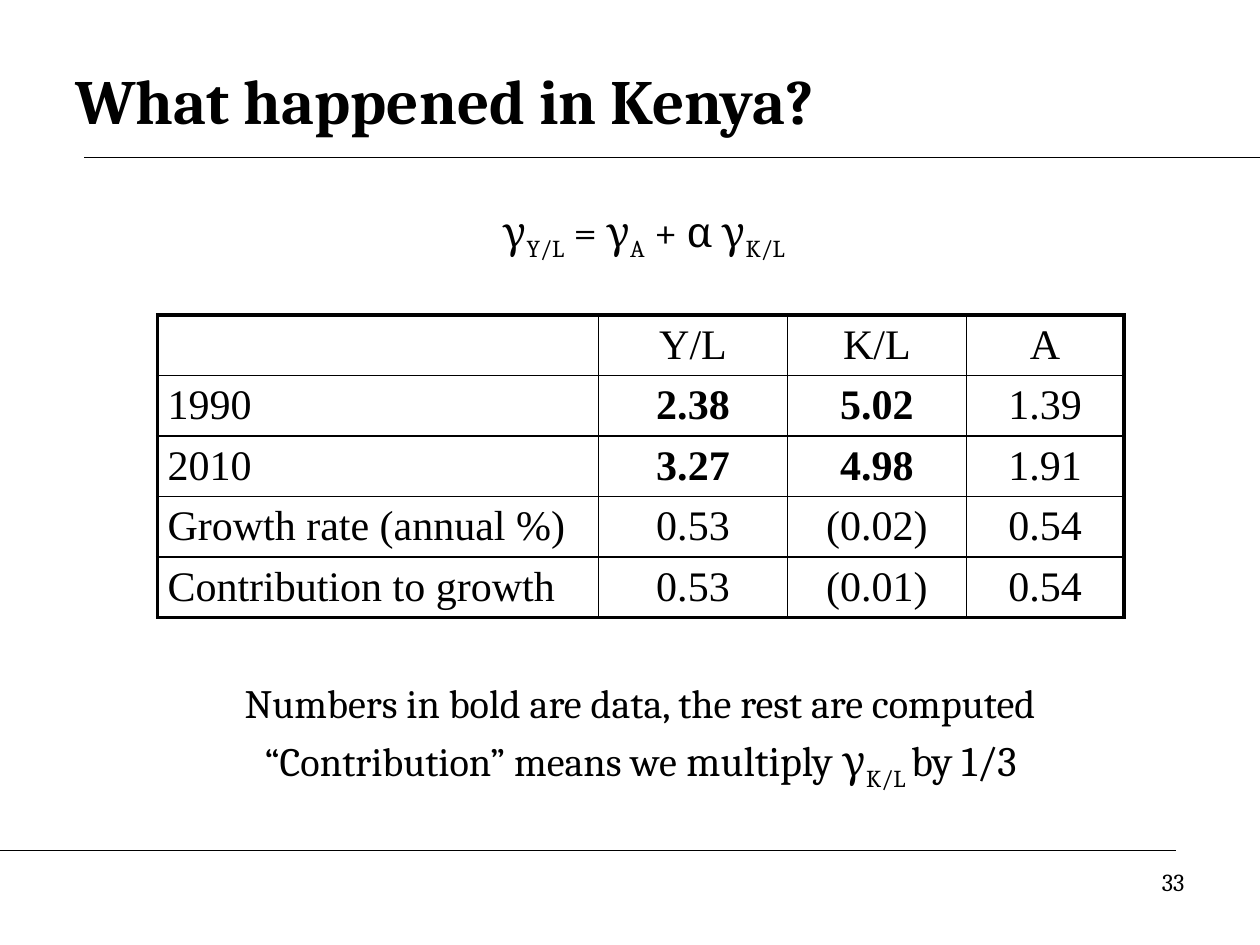
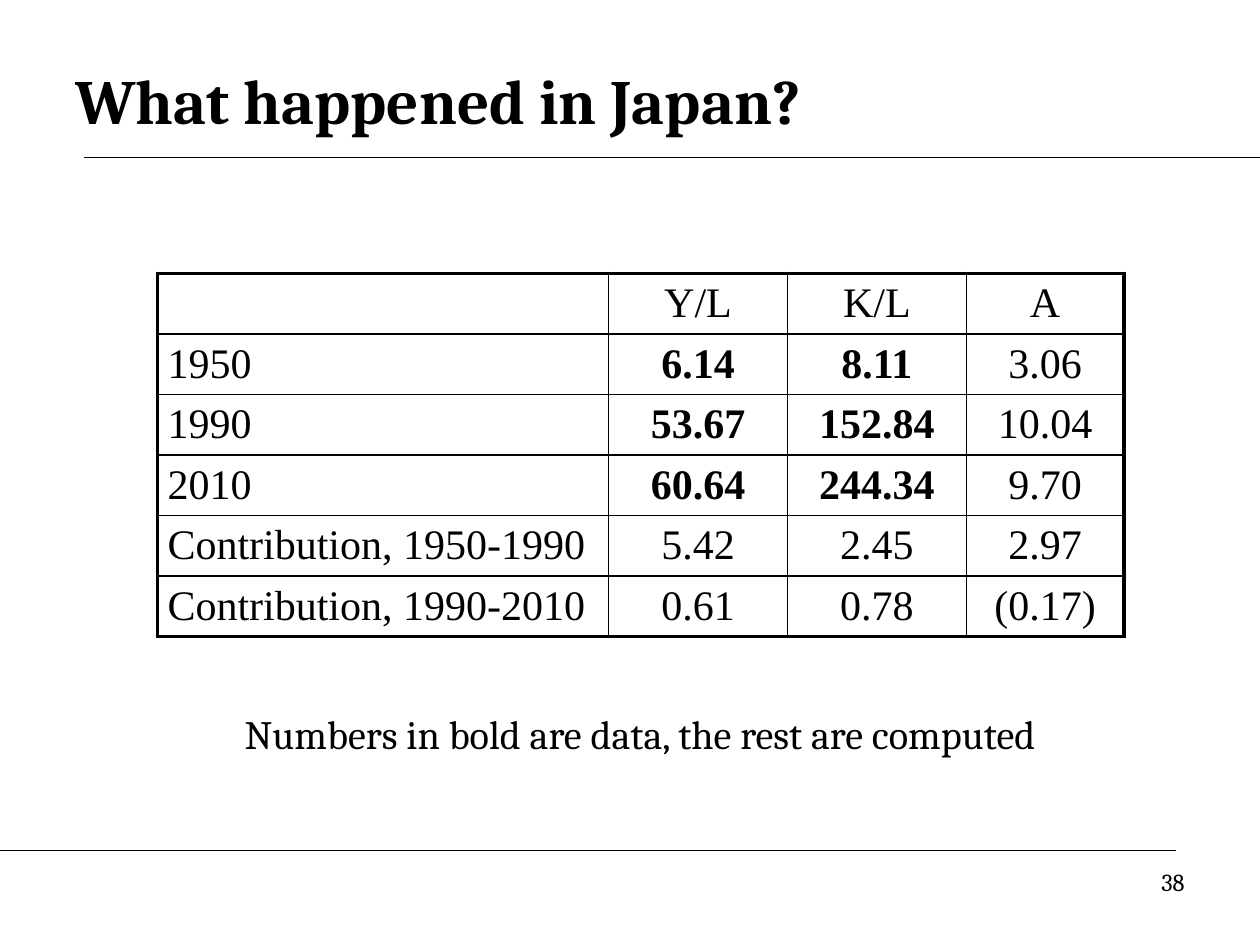
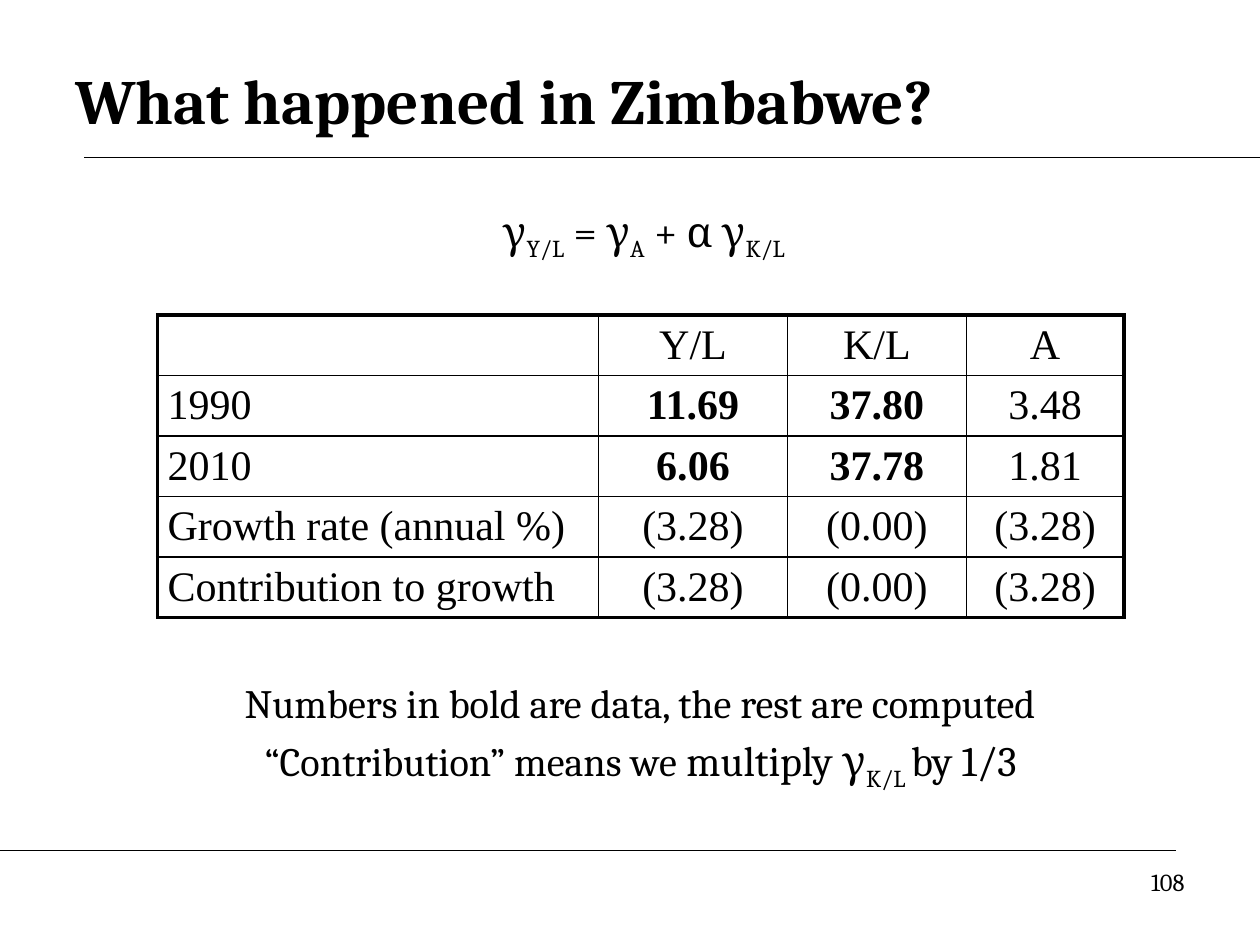
from lxml import etree
from pptx import Presentation
from pptx.dml.color import RGBColor
from pptx.enum.shapes import MSO_CONNECTOR
from pptx.enum.text import MSO_ANCHOR, MSO_AUTO_SIZE, PP_ALIGN
from pptx.oxml.ns import qn
from pptx.util import Inches, Pt

LEFT, CENTER, RIGHT = PP_ALIGN.LEFT, PP_ALIGN.CENTER, PP_ALIGN.RIGHT
MIDDLE = MSO_ANCHOR.MIDDLE
NO_FIT = MSO_AUTO_SIZE.NONE
STRAIGHT = MSO_CONNECTOR.STRAIGHT
TITLE_ONLY = 5
BLACK = "000000"
SERIF, TABLE_FONT = "Cambria", "Times New Roman"
ROW_HEIGHT = 0.47
THIN, THICK = 1, 2.25

HEADINGS = ["", "Y/L", "K/L", "A"]
FORMULA = [("γ|Y/L| = γ|A| + α γ|K/L |", 24)]
DATA_NOTE = [("Numbers in bold are data, the rest are computed", 23)]
SHARE_NOTE = [("“Contribution” means we ", 23), ("multiply γ|K/L |by 1/3", 24)]


def rgb(value):
    """Turn a hex string into a colour."""
    return RGBColor.from_string(value)


def add_text(p, text, size=24, font=SERIF, color=BLACK, bold=False):
    """Add formatted text to a paragraph, with subscripts between bars."""
    for i, part in enumerate(text.split("|")):
        if not part:
            continue
        r = p.add_run()
        r.text = part
        r.font.size, r.font.name, r.font.bold = Pt(size), font, bold
        r.font.color.rgb = rgb(color)
        if i % 2:
            r._r.get_or_add_rPr().set("baseline", "-25000")


def add_border(cell, side, width, color=BLACK):
    """Draw one border of a table cell."""
    ln = etree.SubElement(cell._tc.get_or_add_tcPr(), qn(f"a:ln{side}"), w=str(Pt(width)))
    fill = etree.SubElement(ln, qn("a:solidFill"))
    etree.SubElement(fill, qn("a:srgbClr"), val=color)


class Deck:
    """Hold the shared style and the current slide."""

    def __init__(self):
        """Start an empty presentation."""
        self.prs = Presentation()
        self.prs.slide_width, self.prs.slide_height = Inches(10), Inches(7.5)
        self.layout = self.prs.slide_layouts[TITLE_ONLY]
        self.s = None

    def slide(self, title, number):
        """Add a slide with its title and page number."""
        first = self.s is None
        self.s = self.prs.slides.add_slide(self.layout)
        if first:
            self.layout_rule(0.67, 10, 1.25)
            self.layout_rule(0, 9.33, 6.75)
        sp = self.s.shapes.title
        sp.left, sp.top, sp.width, sp.height = map(Inches, (0.5, 0.33, 9, 0.92))
        tf = sp.text_frame
        tf.vertical_anchor, tf.auto_size = MIDDLE, NO_FIT
        p = tf.paragraphs[0]
        p.alignment = LEFT
        add_text(p, title, size=36, bold=True)
        self.text(7.17, 6.83, 2.33, 0.52, [[(str(number), 14)]], align=RIGHT)

    def layout_rule(self, left, right, y):
        """Draw a horizontal rule and move it to the shared layout."""
        line = self.s.shapes.add_connector(STRAIGHT, Inches(left), Inches(y), Inches(right), Inches(y))
        line.line.color.rgb = rgb(BLACK)
        line.line.width = Pt(0.75)
        etree.SubElement(line.element.spPr, qn("a:effectLst"))
        self.layout.shapes.element.append(line.element)

    def text(self, left, top, width, height, paragraphs, align=CENTER):
        """Add a text box whose paragraphs are lists of text and size."""
        sp = self.s.shapes.add_textbox(*map(Inches, (left, top, width, height)))
        tf = sp.text_frame
        tf.word_wrap = True
        for i, pieces in enumerate(paragraphs):
            p = tf.add_paragraph() if i else tf.paragraphs[0]
            p.alignment = align
            if i:
                p.space_before = Pt(5)
            for text, size in pieces:
                add_text(p, text, size=size)

    def table(self, top, widths, rows):
        """Add a ruled table with a heavy frame and bold data values."""
        rows = [HEADINGS] + rows
        last_row, last_col = len(rows) - 1, len(widths) - 1
        frame = self.s.shapes.add_table(
            len(rows), len(widths), Inches(1.25), Inches(top),
            Inches(sum(widths)), Inches(ROW_HEIGHT * len(rows)))
        table = frame.table
        table.first_row = table.horz_banding = False
        for column, width in zip(table.columns, widths):
            column.width = Inches(width)
        for i, values in enumerate(rows):
            table.rows[i].height = Inches(ROW_HEIGHT)
            for j, value in enumerate(values):
                cell = table.cell(i, j)
                edges = {"L": j == 0, "R": j == last_col, "T": i == 0, "B": i == last_row}
                for side, outer in edges.items():
                    add_border(cell, side, THICK if outer else THIN)
                cell.fill.background()
                cell.vertical_anchor = MIDDLE
                cell.margin_left = cell.margin_right = Inches(0.08)
                cell.margin_top = cell.margin_bottom = Inches(0.04)
                p = cell.text_frame.paragraphs[0]
                p.alignment = CENTER if j else LEFT
                is_data = values[0].isdigit() and j in (1, 2)
                add_text(p, value, font=TABLE_FONT, bold=is_data)

    def growth_slide(self, country, number, rows):
        """Add a country slide with the growth formula and both notes."""
        self.slide(f"What happened in {country}?", number)
        self.table(2.5, [3.5, 1.5, 1.42, 1.25], rows)
        self.text(0.67, 5.33, 8.83, 0.92, [DATA_NOTE, SHARE_NOTE])
        self.text(1.67, 1.58, 6.92, 0.81, [FORMULA])


def main():
    """Build and save the three country slides."""
    deck = Deck()
    deck.growth_slide("Kenya", 33, [
        ["1990", "2.38", "5.02", "1.39"],
        ["2010", "3.27", "4.98", "1.91"],
        ["Growth rate (annual %)", "0.53", "(0.02)", "0.54"],
        ["Contribution to growth", "0.53", "(0.01)", "0.54"],
    ])

    deck.slide("What happened in Japan?", 38)
    deck.table(2.17, [3.58, 1.42, 1.42, 1.25], [
        ["1950", "6.14", "8.11", "3.06"],
        ["1990", "53.67", "152.84", "10.04"],
        ["2010", "60.64", "244.34", "9.70"],
        ["Contribution, 1950-1990", "5.42", "2.45", "2.97"],
        ["Contribution, 1990-2010", "0.61", "0.78", "(0.17)"],
    ])
    deck.text(0.67, 5.58, 8.83, 0.92, [DATA_NOTE])

    deck.growth_slide("Zimbabwe", 108, [
        ["1990", "11.69", "37.80", "3.48"],
        ["2010", "6.06", "37.78", "1.81"],
        ["Growth rate (annual %)", "(3.28)", "(0.00)", "(3.28)"],
        ["Contribution to growth", "(3.28)", "(0.00)", "(3.28)"],
    ])
    deck.prs.save("out.pptx")


if __name__ == "__main__":
    main()
